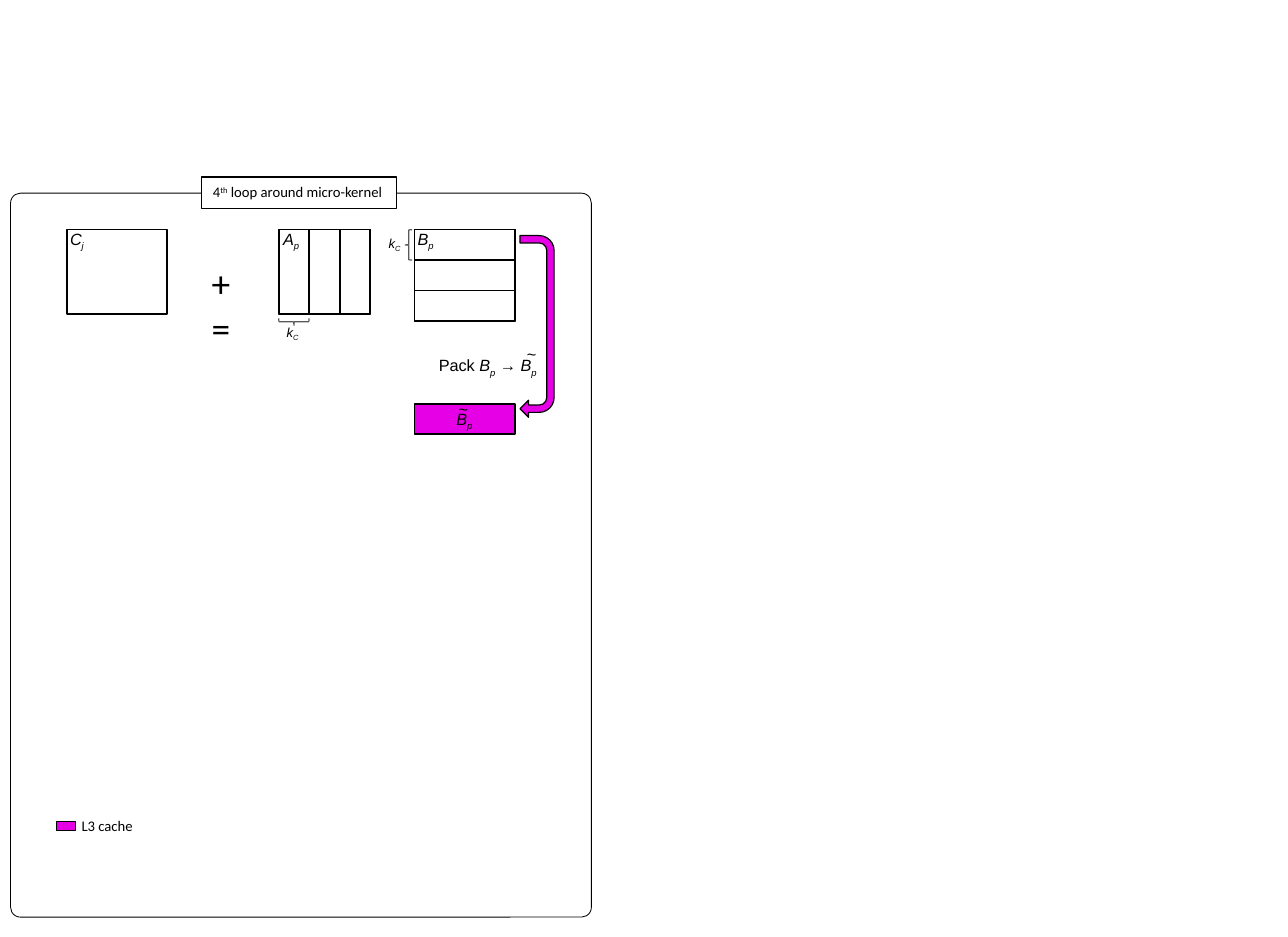
"""Draw the fourth loop around the micro-kernel and its packing into L3 cache."""
from pptx import Presentation
from pptx.dml.color import RGBColor
from pptx.enum.shapes import MSO_SHAPE as SHAPE
from pptx.enum.text import MSO_ANCHOR as ANCHOR, PP_ALIGN as ALIGN
from pptx.util import Cm, Pt

COLORS = {"black": "000000", "white": "FFFFFF", "cache": "E500E5", "brace": "595959"}

prs = Presentation()
prs.slide_width, prs.slide_height = Cm(27.94), Cm(20.32)
s = prs.slides.add_slide(prs.slide_layouts[6])


def add_shape(kind, x, y, w, h, fill=None, line="black", width=1, rotation=0):
    sp = s.shapes.add_shape(kind, Cm(x), Cm(y), Cm(w), Cm(h))
    sp.shadow.inherit = False
    sp.rotation = rotation
    if fill:
        sp.fill.solid()
        sp.fill.fore_color.rgb = RGBColor.from_string(COLORS[fill])
    else:
        sp.fill.background()
    sp.line.color.rgb = RGBColor.from_string(COLORS[line])
    sp.line.width = Pt(width)
    return sp


def add_run(p, text, size=10, font="Arial", italic=False, baseline=0):
    r = p.add_run()
    r.text = text
    r.font.size = Pt(size)
    r.font.name = font
    r.font.italic = italic
    r.font.color.rgb = RGBColor.from_string(COLORS["black"])
    if baseline:
        r._r.get_or_add_rPr().set("baseline", str(baseline * 1000))


frame = add_shape(SHAPE.ROUNDED_RECTANGLE, 0.23, 4.19, 12.6, 15.7, width=0.5)
frame.adjustments[0] = 0.017

heading = add_shape(SHAPE.RECTANGLE, 4.37, 3.84, 4.24, 0.69, fill="white", width=0.75)
tf = heading.text_frame
tf.vertical_anchor = ANCHOR.TOP
p = tf.paragraphs[0]
p.alignment = ALIGN.LEFT
add_run(p, "4", size=9, font="Calibri")
add_run(p, "th", size=9, font="Calibri", baseline=30)
add_run(p, " loop around micro-kernel", size=9, font="Calibri")

top, strip = 4.98, 0.66
c_left, a_left, b_left = 1.45, 6.05, 8.99
wide, tall = 2.18, 1.83
add_shape(SHAPE.RECTANGLE, c_left, top, wide, tall, fill="white")
add_shape(SHAPE.RECTANGLE, a_left, top, 3 * strip, tall, fill="white")
add_shape(SHAPE.RECTANGLE, b_left, top, wide, 3 * strip, fill="white")
for i in range(3):
    add_shape(SHAPE.RECTANGLE, a_left + i * strip, top, strip, tall, fill="white")
    add_shape(SHAPE.RECTANGLE, b_left, top + i * strip, wide, strip, fill="white")

add_shape(SHAPE.RECTANGLE, b_left, 8.76, wide, strip, fill="cache")
add_shape(SHAPE.RECTANGLE, 1.22, 17.81, 0.41, 0.2, fill="cache", width=0.5)

arrow = add_shape(SHAPE.U_TURN_ARROW, 9.68, 6.71, 3.94, 0.74,
                  fill="cache", width=0.75, rotation=90)
for i, value in enumerate([0.215, 0.25, 0.25, 0.438, 1]):
    arrow.adjustments[i] = value

for x, y, rotation in [(8.79, top, 180), (6.3, 6.65, 90)]:
    add_shape(SHAPE.RIGHT_BRACE, x, y, 0.15, strip,
              line="brace", width=0.75, rotation=rotation)

var = {"italic": True}
sub = {"italic": True, "baseline": -25}
small_var = {"size": 8, **var}
small_sub = {"size": 8, **sub}
k_c = [("k", small_var), ("C", small_sub)]
b_p = [("B", var), ("p", sub)]
tilde = [("~", {})]
pack = [("Pack ", {}), *b_p, (" → ", {}), *b_p]

labels = [
    (1.27, 4.85, 0.86, 0.69, False, [("C", var), ("j", sub)]),
    (5.89, 4.85, 0.94, 0.69, False, [("A", var), ("p", sub)]),
    (8.81, 4.85, 0.94, 0.69, False, b_p),
    (8.18, 4.98, 0.84, 0.61, True, k_c),
    (5.97, 6.91, 0.84, 0.61, True, k_c),
    (4.34, 5.51, 1.14, 1.02, True, [("+=", {"size": 23, "font": "Calibri"})]),
    (9.27, 7.59, 3.89, 0.69, True, pack),
    (11.18, 7.34, 0.71, 0.69, False, tilde),
    (9.65, 8.76, 0.91, 0.69, True, b_p),
    (9.7, 8.53, 0.71, 0.69, False, tilde),
    (1.52, 17.58, 1.63, 0.64, False, [("L3 cache", {"size": 9, "font": "Calibri"})]),
]
for x, y, w, h, wrap, runs in labels:
    tf = s.shapes.add_textbox(Cm(x), Cm(y), Cm(w), Cm(h)).text_frame
    tf.word_wrap = wrap
    for text, style in runs:
        add_run(tf.paragraphs[0], text, **style)

prs.save("out.pptx")
